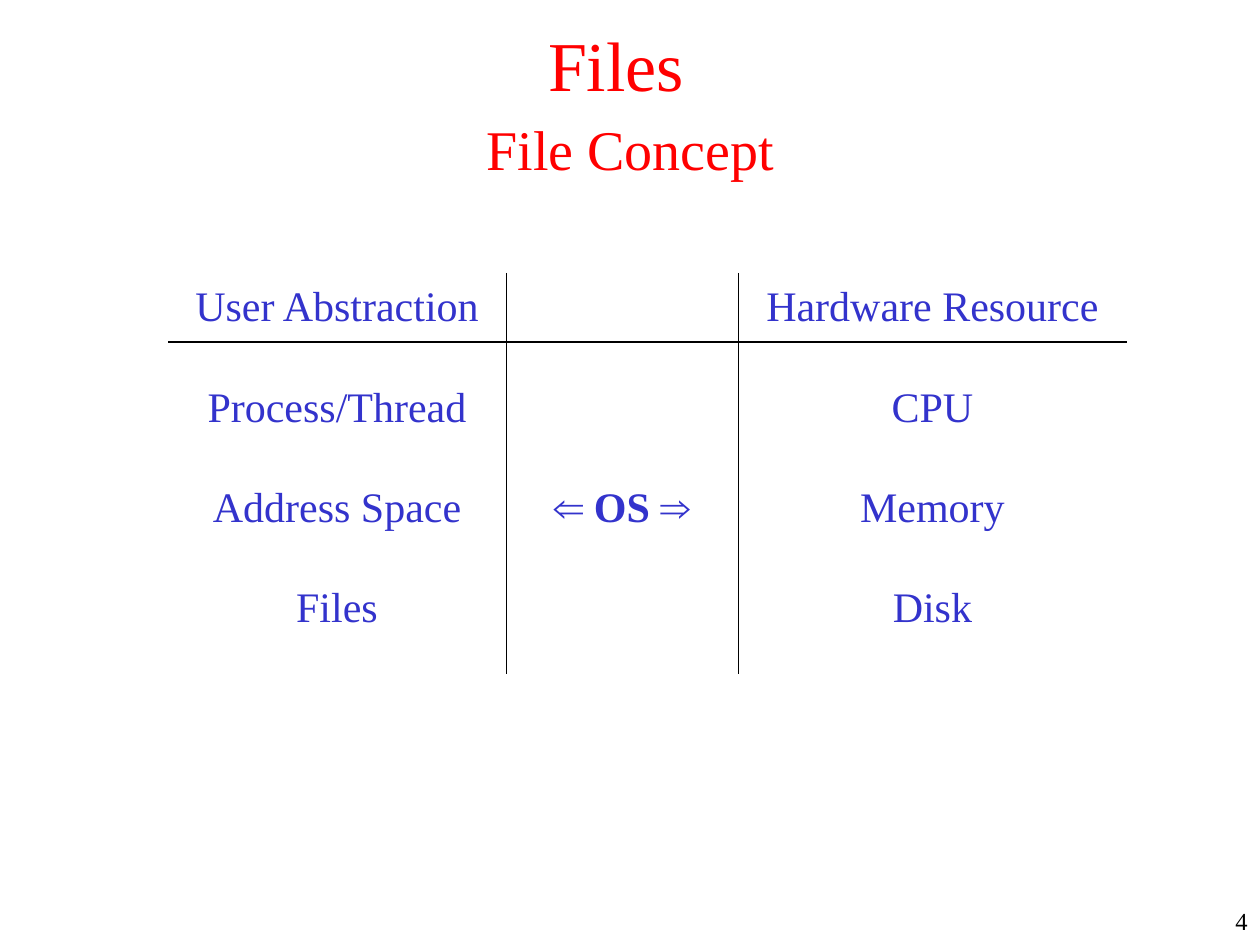
from lxml import etree
from pptx import Presentation
from pptx import util as u
from pptx.dml.color import RGBColor
from pptx.enum import text
from pptx.oxml.ns import qn

PX = 914400 // 126
SERIF, SANS = "Times New Roman", "Arial"
RED, BLUE, BLACK = "FF0000", "3333CC", "000000"

TITLE = [("Files", 40), (" ", 66), ("\v", 66), ("File Concept", 32)]
OS_LINK = [("⇐", SANS, True), (" OS ", SERIF, True), ("⇒", SANS, True)]
ROWS = [
    ("User Abstraction", "", "Hardware Resource"),
    ("Process/Thread", "", "CPU"),
    ("Address Space", OS_LINK, "Memory"),
    ("Files", "", "Disk"),
]
COLUMN_WIDTHS = [338, 232, 389]
ROW_HEIGHTS = [69, 132, 68, 132]
THIN, RULE = 0.45, 1.08


def px(*lengths):
    return [u.Emu(length * PX) for length in lengths]


def style(font, size, color, face=SERIF, bold=False):
    font.name, font.size, font.bold = face, u.Pt(size), bold
    font.color.rgb = RGBColor.from_string(color)


def add_run(paragraph, words, *look):
    run = paragraph.add_run()
    run.text = words
    style(run.font, *look)


def add_box(slide, place, anchor, align):
    frame = slide.shapes.add_textbox(*px(*place)).text_frame
    frame.word_wrap = True
    frame.vertical_anchor = anchor
    frame.paragraphs[0].alignment = align
    return frame.paragraphs[0]


def set_borders(cell, widths):
    properties = cell._tc.get_or_add_tcPr()
    for place, side in enumerate("LRTB"):
        line = etree.Element(qn(f"a:ln{side}"))
        if side in widths:
            line.set("w", str(u.Pt(widths[side])))
            fill = etree.SubElement(line, qn("a:solidFill"))
            etree.SubElement(fill, qn("a:srgbClr"), val=BLACK)
        else:
            etree.SubElement(line, qn("a:noFill"))
        properties.insert(place, line)


def add_concepts(slide):
    place = px(168, 273, sum(COLUMN_WIDTHS), sum(ROW_HEIGHTS))
    table = slide.shapes.add_table(len(ROWS), len(COLUMN_WIDTHS), *place).table
    table.first_row = table.horz_banding = False
    for column, width in zip(table.columns, px(*COLUMN_WIDTHS)):
        column.width = width
    for row, height in zip(table.rows, px(*ROW_HEIGHTS)):
        row.height = height
    last = len(COLUMN_WIDTHS) - 1
    for r, row in enumerate(ROWS):
        for c, content in enumerate(row):
            cell = table.cell(r, c)
            cell.vertical_anchor = text.MSO_ANCHOR.MIDDLE
            cell.fill.background()
            paragraph = cell.text_frame.paragraphs[0]
            paragraph.alignment = text.PP_ALIGN.CENTER
            runs = [(content, SERIF, False)] if isinstance(content, str) else content
            for words, face, bold in runs:
                if words:
                    add_run(paragraph, words, 24, BLUE, face, bold)
            sides = {"L": c > 0, "R": c < last, "T": r == 1, "B": r == 0}
            set_borders(cell, {side: THIN if side in "LR" else RULE
                               for side, drawn in sides.items() if drawn})


def main():
    deck = Presentation()
    deck.slide_width, deck.slide_height = u.Inches(10), u.Inches(7.5)
    slide = deck.slides.add_slide(deck.slide_layouts[6])

    number = add_box(slide, (1193, 900, 67, 45), text.MSO_ANCHOR.TOP, text.PP_ALIGN.RIGHT)
    add_run(number, "4", 14, BLACK)

    title = add_box(slide, (95, 0, 1071, 158), text.MSO_ANCHOR.MIDDLE, text.PP_ALIGN.CENTER)
    for words, size in TITLE:
        if words == "\v":
            title.add_line_break()
        else:
            add_run(title, words, size, RED)

    add_concepts(slide)
    deck.save("out.pptx")


if __name__ == "__main__":
    main()
